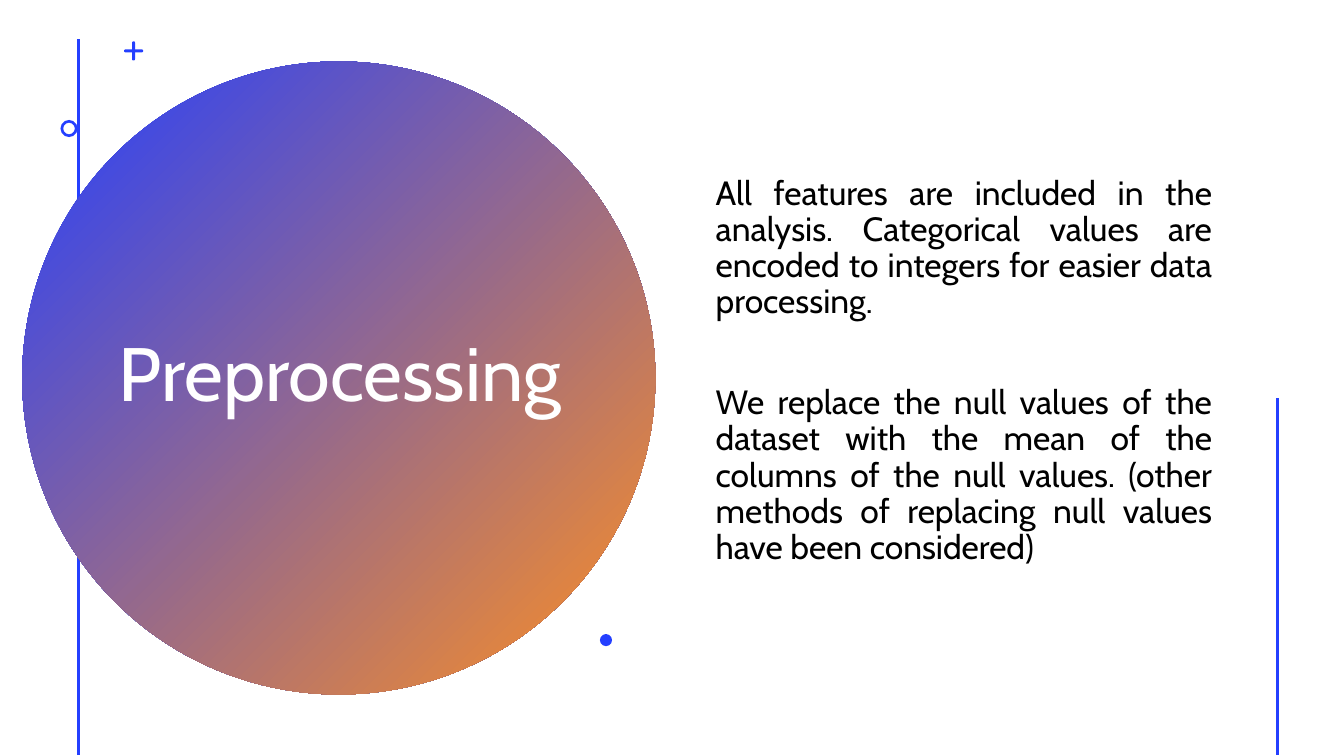
from pptx import Presentation
from pptx.dml.color import RGBColor
from pptx.enum.shapes import MSO_CONNECTOR, MSO_SHAPE
from pptx.enum.text import MSO_ANCHOR, PP_ALIGN
from pptx.oxml.ns import qn
from pptx.util import Inches, Pt

STRAIGHT = MSO_CONNECTOR.STRAIGHT
OVAL = MSO_SHAPE.OVAL
DONUT = MSO_SHAPE.DONUT
ROUNDED = MSO_SHAPE.ROUNDED_RECTANGLE
MIDDLE = MSO_ANCHOR.MIDDLE
CENTER = PP_ALIGN.CENTER
JUSTIFY = PP_ALIGN.JUSTIFY

COLORS = {"blue": "243FFF", "orange": "FF9022", "white": "FFFFFF", "black": "000000"}
FONT = "Cabin"
LINE_BOTTOM = 7.49
BODY = [
    "All features are included in the analysis. Categorical values are encoded "
    "to integers for easier data processing.",
    "We replace the null values of the dataset with the mean of the columns of "
    "the null values. (other methods of replacing null values have been considered)",
]


class SlideBuilder:
    """Holds the current slide and draws elements in its style."""

    def __init__(self, slide):
        self.slide = slide

    def color(self, name):
        return RGBColor.from_string(COLORS[name])

    def vertical_line(self, x, top):
        line = self.slide.shapes.add_connector(
            STRAIGHT, Inches(x), Inches(top), Inches(x), Inches(LINE_BOTTOM))
        line.line.color.rgb = self.color("blue")
        line.line.width = Pt(2)
        properties = line._element.spPr
        properties.append(properties.makeelement(qn("a:effectLst"), {}))

    def shape(self, kind, left, top, width, height, adjustment=None):
        shape = self.slide.shapes.add_shape(
            kind, Inches(left), Inches(top), Inches(width), Inches(height))
        shape.shadow.inherit = False
        shape.line.fill.background()
        shape.fill.solid()
        shape.fill.fore_color.rgb = self.color("blue")
        if adjustment is not None:
            shape.adjustments[0] = adjustment
        return shape

    def gradient_circle(self, left, top, size):
        fill = self.shape(OVAL, left, top, size, size).fill
        fill.gradient()
        fill.gradient_angle = 315
        for stop, name in zip(fill.gradient_stops, ("blue", "orange")):
            stop.color.rgb = self.color(name)

    def plus(self, left, top, size, thickness):
        offset = (size - thickness) / 2
        self.shape(ROUNDED, left, top + offset, size, thickness, 0.5)
        self.shape(ROUNDED, left + offset, top, thickness, size, 0.5)

    def text(self, left, top, width, height, paragraphs, size, color, alignment, gap=0):
        box = self.slide.shapes.add_textbox(
            Inches(left), Inches(top), Inches(width), Inches(height))
        frame = box.text_frame
        frame.word_wrap = True
        frame.vertical_anchor = MIDDLE
        frame.text = "\n".join(paragraphs)
        for index, paragraph in enumerate(frame.paragraphs):
            paragraph.alignment = alignment
            paragraph.line_spacing = 0.9
            paragraph.space_before = Pt(gap if index else 0)
            for run in paragraph.runs:
                run.font.name = FONT
                run.font.size = Pt(size)
                run.font.color.rgb = self.color(color)


def main():
    presentation = Presentation()
    presentation.slide_width = Inches(13.33)
    presentation.slide_height = Inches(7.5)
    builder = SlideBuilder(presentation.slides.add_slide(presentation.slide_layouts[6]))

    builder.vertical_line(0.78, 0.39)
    builder.gradient_circle(0.22, 0.61, 6.28)
    builder.text(0.95, 1.41, 4.84, 4.67, ["Preprocessing"], 54, "white", CENTER)
    builder.plus(1.23, 0.41, 0.19, 0.03)
    builder.shape(DONUT, 0.6, 1.19, 0.17, 0.17, 0.16)
    builder.text(7, 0.42, 5.12, 6.53, BODY, 24, "black", JUSTIFY, gap=46)
    builder.shape(OVAL, 5.95, 6.29, 0.12, 0.12)
    builder.vertical_line(12.67, 3.95)

    presentation.save("out.pptx")


if __name__ == "__main__":
    main()
